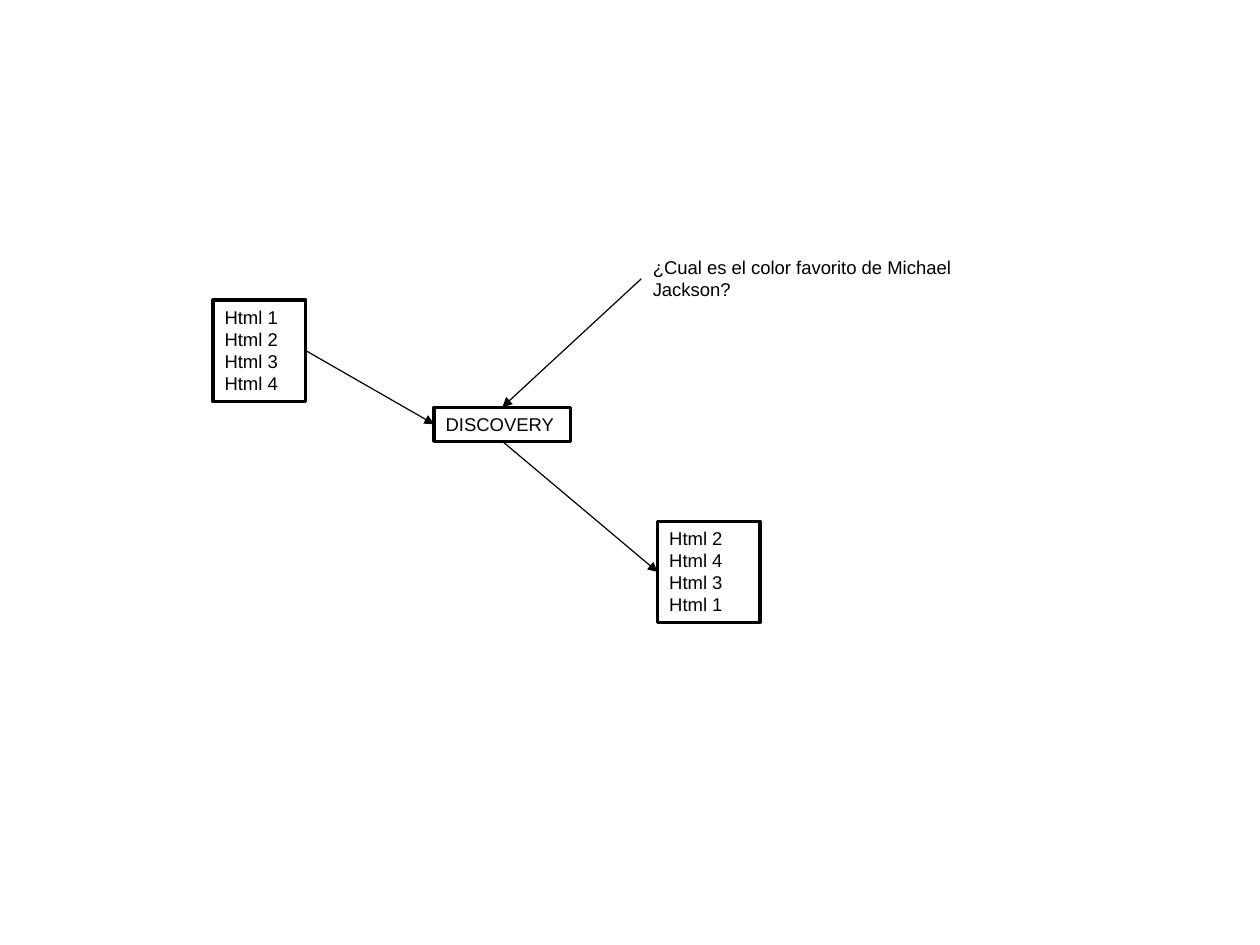
from dataclasses import dataclass

from lxml.etree import SubElement
from pptx import Presentation
from pptx.dml.color import RGBColor
from pptx.enum.shapes import MSO_CONNECTOR as Connector, MSO_SHAPE as Shape
from pptx.enum.text import MSO_ANCHOR as Anchor, PP_ALIGN as Align
from pptx.oxml.ns import qn
from pptx.shapes.autoshape import Shape as AutoShape
from pptx.slide import Slide
from pptx.util import Inches, Pt

BLACK = "000000"
WHITE = "FFFFFF"
TOP, LEFT, BOTTOM, RIGHT = range(4)


@dataclass
class Box:
    left: float
    top: float
    width: float
    height: float
    text: str
    framed: bool = True


@dataclass
class Arrow:
    start: str
    start_side: int
    end: str
    end_side: int


BOXES = {
    "pages": Box(1.81, 2.55, 0.79, 0.86, "Html 1\nHtml 2\nHtml 3\nHtml 4"),
    "discovery": Box(3.69, 3.46, 1.16, 0.29, "DISCOVERY"),
    "ranking": Box(5.59, 4.43, 0.87, 0.86, "Html 2\nHtml 4\nHtml 3\nHtml 1"),
    "question": Box(5.45, 2.13, 3.38, 0.48,
                    "¿Cual es el color favorito de Michael Jackson?", framed=False),
}

ARROWS = [
    Arrow("pages", RIGHT, "discovery", LEFT),
    Arrow("question", LEFT, "discovery", TOP),
    Arrow("discovery", BOTTOM, "ranking", LEFT),
]


def color(value: str) -> RGBColor:
    return RGBColor.from_string(value)


def add_box(slide: Slide, box: Box) -> AutoShape:
    place = [Inches(v) for v in (box.left, box.top, box.width, box.height)]
    if box.framed:
        sp = slide.shapes.add_shape(Shape.RECTANGLE, *place)
        sp.shadow.inherit = False
        sp.fill.solid()
        sp.fill.fore_color.rgb = color(WHITE)
        sp.line.color.rgb = color(BLACK)
        sp.line.width = Pt(2)
    else:
        sp = slide.shapes.add_textbox(*place)
    tf = sp.text_frame
    tf.word_wrap = True
    tf.vertical_anchor = Anchor.TOP
    tf.text = box.text
    for p in tf.paragraphs:
        p.alignment = Align.LEFT
        for r in p.runs:
            r.font.name = "Arial"
            r.font.size = Pt(11.25)
            r.font.color.rgb = color(BLACK)
    return sp


def add_arrow(slide: Slide, arrow: Arrow, shapes: dict[str, AutoShape]) -> None:
    cxn = slide.shapes.add_connector(Connector.STRAIGHT, 0, 0, 0, 0)
    cxn.begin_connect(shapes[arrow.start], arrow.start_side)
    cxn.end_connect(shapes[arrow.end], arrow.end_side)
    cxn.line.color.rgb = color(BLACK)
    cxn.line.width = Pt(0.75)
    SubElement(cxn.line._get_or_add_ln(), qn("a:tailEnd"), type="triangle")
    SubElement(cxn._element.spPr, qn("a:effectLst"))


def main() -> None:
    prs = Presentation()
    prs.slide_width = Inches(10.71)
    prs.slide_height = Inches(8.03)
    slide = prs.slides.add_slide(prs.slide_layouts[6])
    shapes = {name: add_box(slide, box) for name, box in BOXES.items()}
    for arrow in ARROWS:
        add_arrow(slide, arrow, shapes)
    prs.save("out.pptx")


if __name__ == "__main__":
    main()
